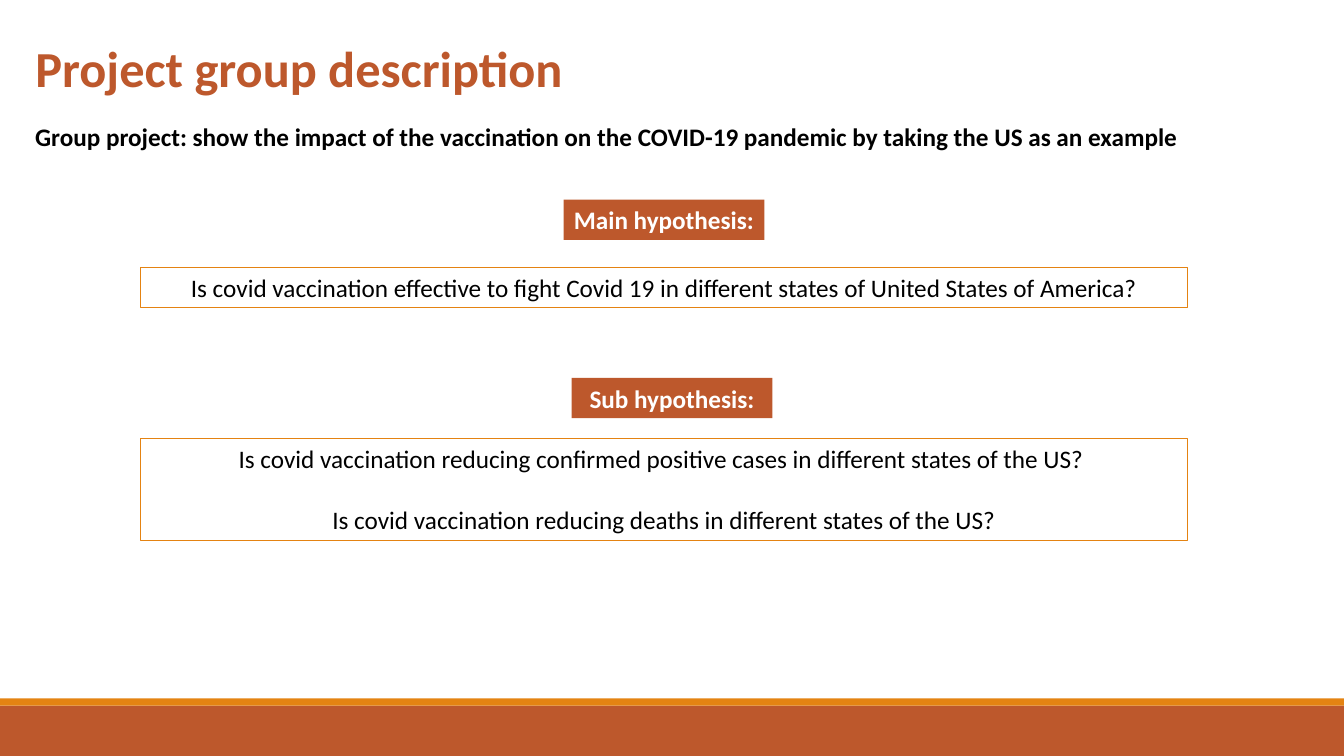
from dataclasses import dataclass

from pptx import Presentation
from pptx.dml.color import RGBColor
from pptx.enum.shapes import MSO_SHAPE
from pptx.enum.text import MSO_ANCHOR, MSO_AUTO_SIZE, PP_ALIGN
from pptx.util import Inches, Pt

COLORS = {
    "rust": "BD582C",
    "orange": "E48312",
    "black": "000000",
    "white": "FFFFFF",
}
FONT = "Calibri"
LINE_H = 0.4
MARGIN_X, TEXT_W = 0.25, 12.67
LABEL_W = 1.99
QUESTION_X, QUESTION_W = 1.39, 10.39


@dataclass
class Box:
    x: float
    y: float
    w: float
    h: float
    fill: str | None = None
    line: str | None = None
    texts: tuple[str, ...] = ()
    color: str = "black"
    bold: bool = False


def label(x: float, y: float, text: str) -> Box:
    return Box(x, y, LABEL_W, LINE_H, fill="rust", texts=(text,),
               color="white", bold=True)


def question(y: float, h: float, *texts: str) -> Box:
    return Box(QUESTION_X, y, QUESTION_W, h, line="orange", texts=texts)


BOXES = [
    Box(0, 7, 13.33, 0.5, fill="rust"),
    Box(0, 6.93, 13.33, 0.07, fill="orange"),
    question(4.35, 1.01,
             "Is covid vaccination reducing confirmed positive cases in different states of the US? ",
             "Is covid vaccination reducing deaths in different states of the US?"),
    label(5.59, 1.98, "Main hypothesis:"),
    label(5.67, 3.75, "Sub hypothesis:"),
    question(2.65, LINE_H,
             "Is covid vaccination effective to fight Covid 19 in different states of United States of America?"),
]


def rgb(name: str) -> RGBColor:
    return RGBColor.from_string(COLORS[name])


def write(tf, *texts: str, size: float = 18, color: str = "black",
          bold: bool = False, align=PP_ALIGN.LEFT, gap: float = 0) -> None:
    """Fill a text frame, one paragraph per text, with gap points between them."""
    tf.word_wrap = True
    tf.auto_size = MSO_AUTO_SIZE.NONE
    tf.vertical_anchor = MSO_ANCHOR.TOP
    for i, text in enumerate(texts):
        p = tf.paragraphs[0] if i == 0 else tf.add_paragraph()
        p.alignment = align
        p.space_before = Pt(gap if i else 0)
        r = p.add_run()
        r.text = text
        r.font.name = FONT
        r.font.size = Pt(size)
        r.font.bold = bold
        r.font.color.rgb = rgb(color)


def draw_box(s, box: Box) -> None:
    sp = s.shapes.add_shape(MSO_SHAPE.RECTANGLE, Inches(box.x), Inches(box.y),
                            Inches(box.w), Inches(box.h))
    sp.shadow.inherit = False
    if box.fill:
        sp.fill.solid()
        sp.fill.fore_color.rgb = rgb(box.fill)
    else:
        sp.fill.background()
    if box.line:
        sp.line.color.rgb = rgb(box.line)
        sp.line.width = Pt(0.75)
    else:
        sp.line.fill.background()
    if box.texts:
        write(sp.text_frame, *box.texts, color=box.color, bold=box.bold,
              align=PP_ALIGN.CENTER, gap=22)


def main() -> None:
    prs = Presentation()
    prs.slide_width, prs.slide_height = Inches(13.33), Inches(7.5)
    s = prs.slides.add_slide(prs.slide_layouts[5])

    title = s.shapes.title
    title.left, title.top = Inches(MARGIN_X), Inches(0.32)
    title.width, title.height = Inches(TEXT_W), Inches(0.71)
    write(title.text_frame, "Project group description",
          size=36, color="rust", bold=True)

    goal = s.shapes.add_textbox(Inches(MARGIN_X), Inches(1.15),
                                Inches(TEXT_W), Inches(LINE_H))
    write(goal.text_frame,
          "Group project: show the impact of the vaccination on the COVID-19 "
          "pandemic by taking the US as an example", bold=True)

    for box in BOXES:
        draw_box(s, box)
    prs.save("out.pptx")


if __name__ == "__main__":
    main()
